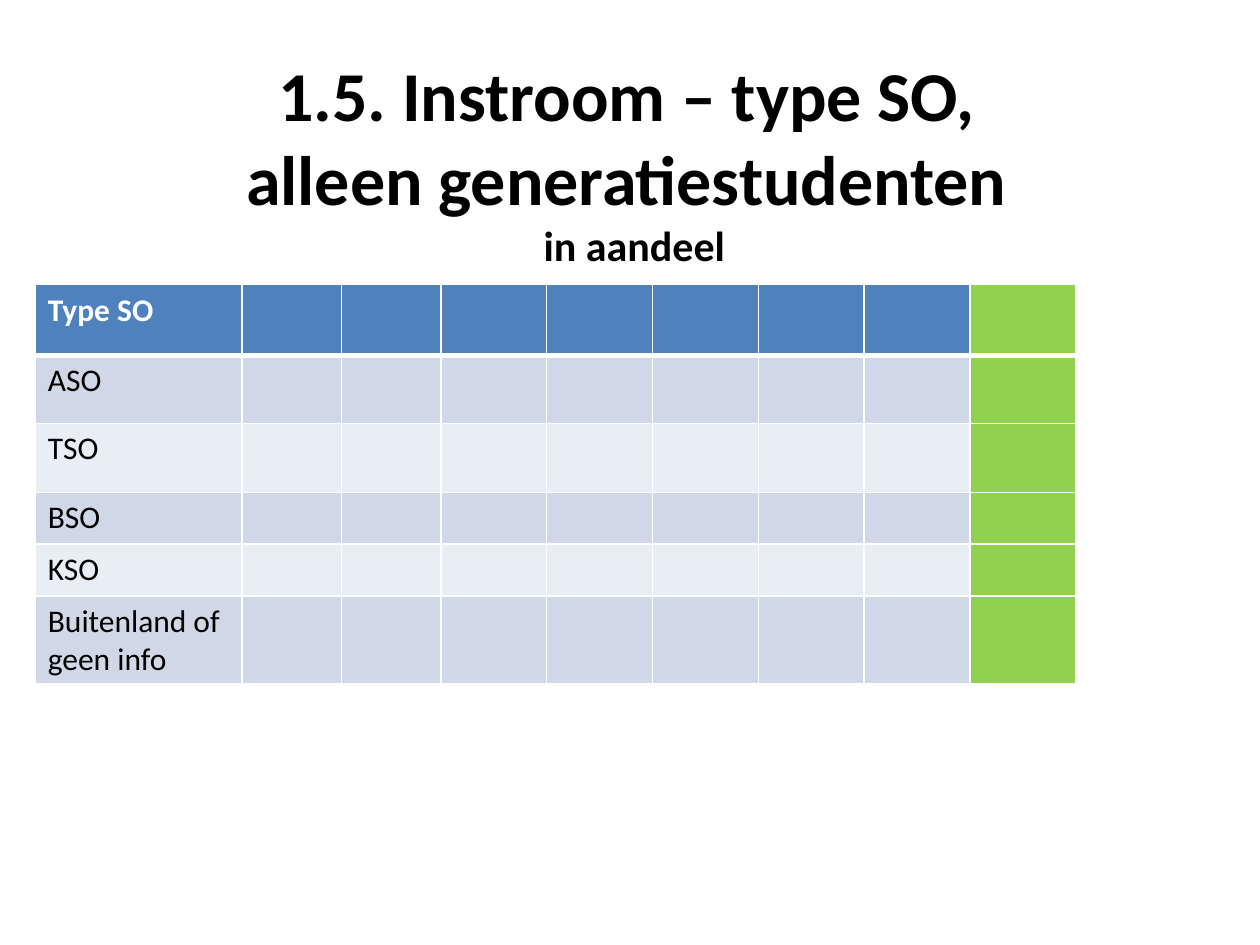
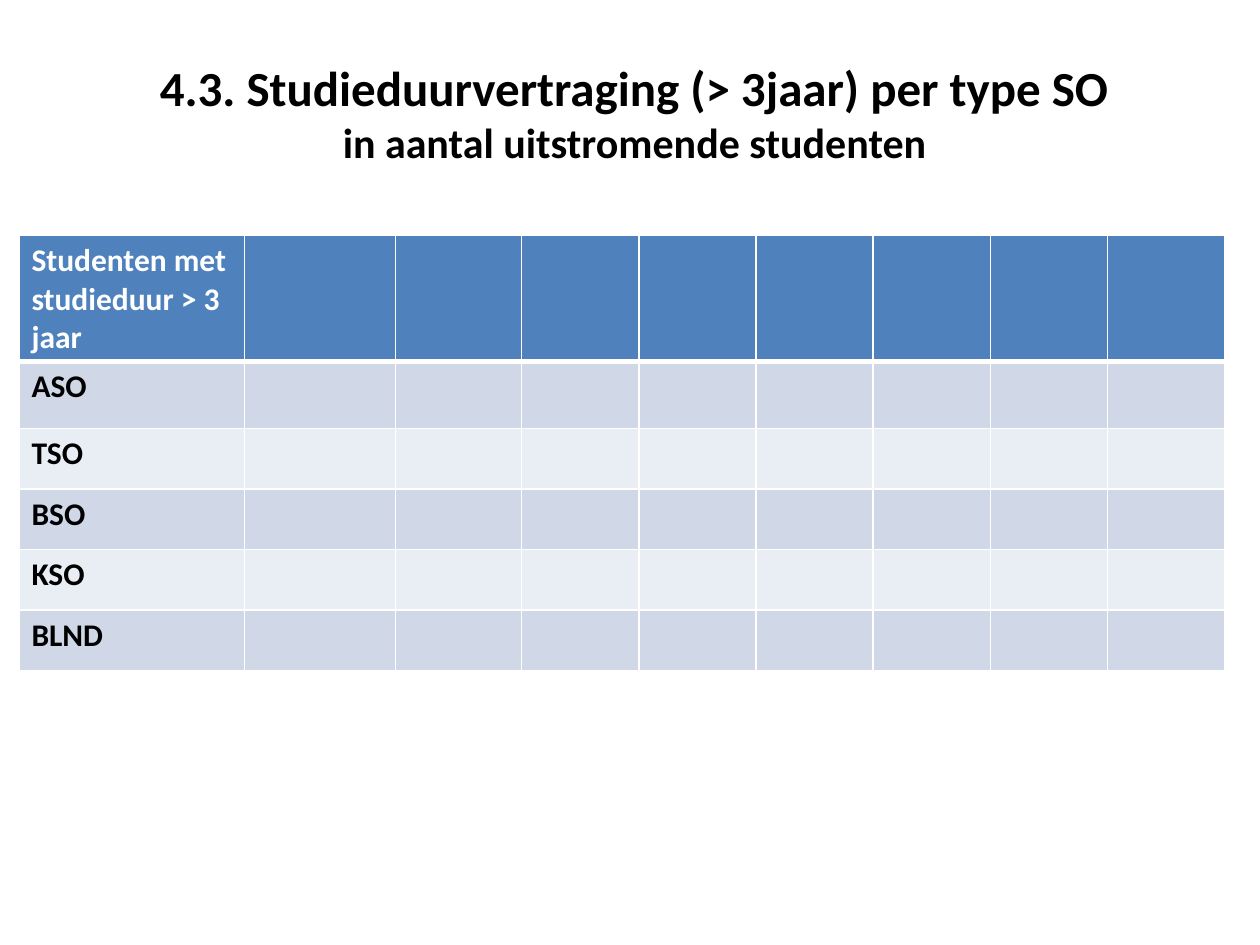
from dataclasses import dataclass

from lxml import etree
from pptx import Presentation
from pptx.dml.color import RGBColor
from pptx.enum.text import MSO_ANCHOR, MSO_AUTO_SIZE, PP_ALIGN
from pptx.oxml.ns import qn
from pptx.util import Inches, Pt

CENTER = PP_ALIGN.CENTER
TOP = MSO_ANCHOR.TOP
GROW = MSO_AUTO_SIZE.SHAPE_TO_FIT_TEXT

FONT = "Calibri"
COLORS = {
    "head": "4F81BD",
    "odd": "D0D8E8",
    "even": "E9EDF4",
    "mark": "92D050",
    "white": "FFFFFF",
    "black": "000000",
}
FRAME = {"word_wrap": True, "auto_size": GROW, "vertical_anchor": TOP}


@dataclass
class Title:
    box: tuple[float, float, float, float]
    lines: list[tuple[str, int]]


@dataclass
class Grid:
    left: float
    top: float
    height: float
    cols: list[float]
    rows: list[float]
    labels: list[str]
    bold: bool
    last: str = ""


def style(run, size: int, bold: bool, color: str) -> None:
    form = {"name": FONT, "size": Pt(size), "bold": bold}
    for key, value in form.items():
        setattr(run.font, key, value)
    run.font.color.rgb = RGBColor.from_string(COLORS[color])


def draw_title(slide, title: Title) -> None:
    box = slide.shapes.add_textbox(*map(Inches, title.box))
    frame = box.text_frame
    for key, value in FRAME.items():
        setattr(frame, key, value)
    for i, (text, size) in enumerate(title.lines):
        para = frame.paragraphs[0] if i == 0 else frame.add_paragraph()
        para.alignment = CENTER
        run = para.add_run()
        run.text = text
        style(run, size, True, "black")


def add_edges(cell, row: int) -> None:
    props = cell._tc.get_or_add_tcPr()
    widths = {"L": 1, "R": 1, "T": 3 if row == 1 else 1, "B": 3 if row == 0 else 1}
    for side, width in widths.items():
        line = etree.SubElement(props, qn(f"a:ln{side}"), w=str(Pt(width)))
        fill = etree.SubElement(line, qn("a:solidFill"))
        etree.SubElement(fill, qn("a:srgbClr"), val=COLORS["white"])


def draw_grid(slide, grid: Grid) -> None:
    shape = slide.shapes.add_table(
        len(grid.rows), len(grid.cols), Inches(grid.left), Inches(grid.top),
        Inches(sum(grid.cols)), Inches(grid.height))
    table = shape.table
    for col, width in zip(table.columns, grid.cols):
        col.width = Inches(width)
    for row, height in zip(table.rows, grid.rows):
        row.height = Inches(height)
    shape.height = Inches(grid.height)
    end = len(grid.cols) - 1
    for r, label in enumerate(grid.labels):
        band = "head" if r == 0 else ("even", "odd")[r % 2]
        for c in range(len(grid.cols)):
            cell = table.cell(r, c)
            add_edges(cell, r)
            color = grid.last if c == end and grid.last else band
            cell.fill.solid()
            cell.fill.fore_color.rgb = RGBColor.from_string(COLORS[color])
        run = table.cell(r, 0).text_frame.paragraphs[0].add_run()
        run.text = label
        style(run, 18, r == 0 or grid.bold, "white" if r == 0 else "black")


TYPES = ["ASO", "TSO", "BSO", "KSO"]
PAGES = [
    (
        Title((0.43, 0.36, 9.21, 1.85), [
            ("1.5. Instroom – type SO, ", 40),
            ("alleen generatiestudenten ", 40),
            ("in aandeel", 24),
        ]),
        Grid(0.28, 2.26, 3.16, [1.64] + [0.79] * 2 + [0.84] * 6,
             [0.56, 0.54, 0.55] + [0.41] * 3,
             ["Type SO", *TYPES, "Buitenland of geen info"], False, "mark"),
    ),
    (
        Title((0.15, 0.41, 9.85, 1.31), [
            ("4.3. Studieduurvertraging (> 3jaar) per type SO ", 28),
            ("in aantal uitstromende studenten ", 24),
        ]),
        Grid(0.15, 1.87, 3.47, [1.79, 1.2, 1] + [0.93] * 6,
             [0.94, 0.53] + [0.48] * 4,
             ["Studenten met studieduur > 3 jaar", *TYPES, "BLND"], True),
    ),
]


def main() -> None:
    deck = Presentation()
    deck.slide_width = Inches(10)
    deck.slide_height = Inches(7.5)
    for title, grid in PAGES:
        slide = deck.slides.add_slide(deck.slide_layouts[6])
        draw_title(slide, title)
        draw_grid(slide, grid)
    deck.save("out.pptx")


main()
